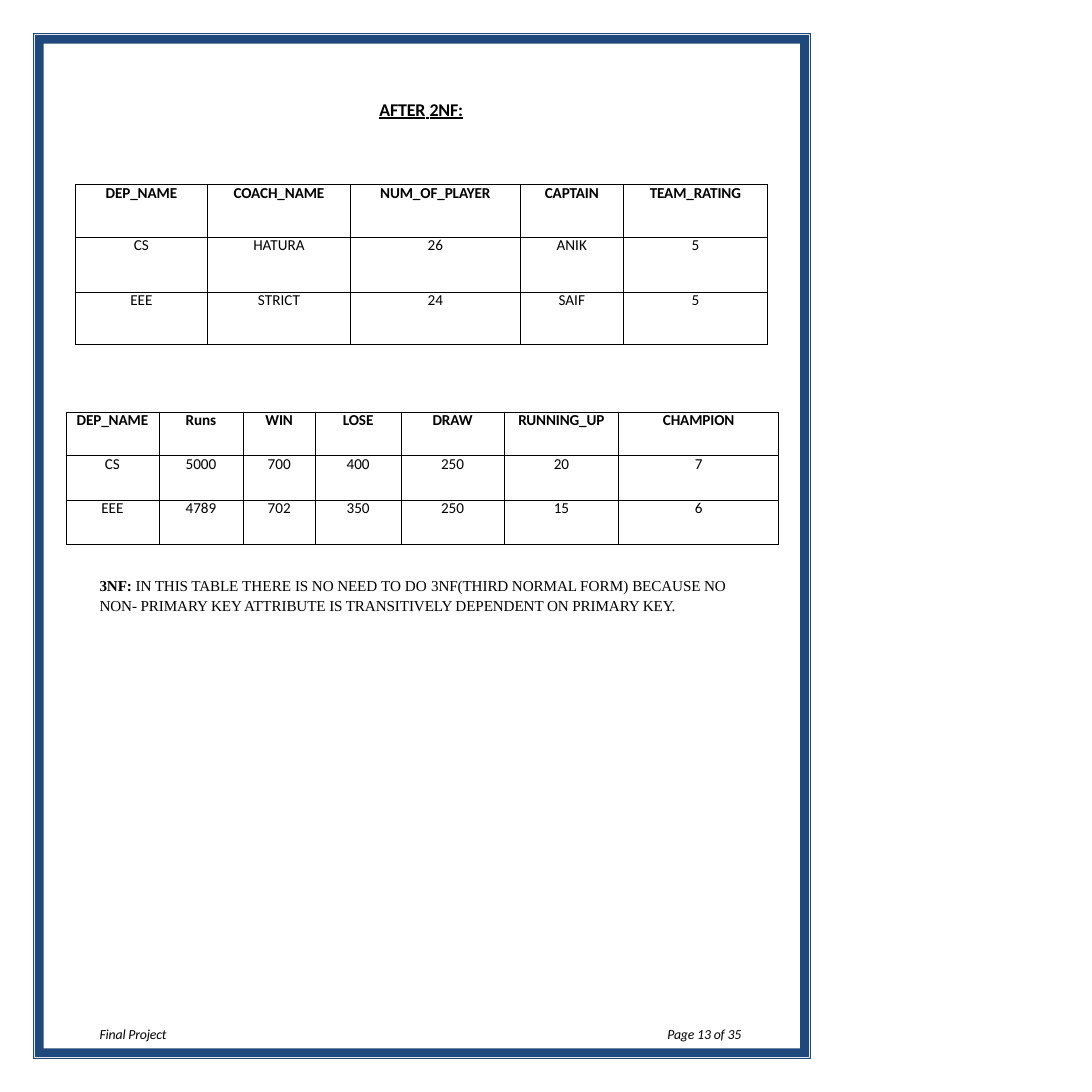
from lxml import etree
from pptx import Presentation
from pptx import util as u
from pptx.dml.color import RGBColor
from pptx.enum import text
from pptx.oxml.ns import qn

COLORS = {"ink": "000000", "frame": "1F487C"}


class Page:
    def __init__(self, s, font="Calibri", color="ink"):
        self.s = s
        self.font = font
        self.color = color

    def rgb(self, name):
        return RGBColor.from_string(COLORS[name])

    def run(self, p, content, spc=-0.1, **fmt):
        r = p.add_run()
        r.text = content
        for key, value in {"name": self.font, **fmt}.items():
            setattr(r.font, key, value)
        r.font.color.rgb = self.rgb(self.color)
        r.font._element.set("spc", str(round(spc * 100)))

    def text(self, box, runs, top=0, para=None, **fmt):
        sp = self.s.shapes.add_textbox(*map(u.Pt, box))
        tf = sp.text_frame
        frame = {"word_wrap": True, "margin_left": u.Pt(0.9), "margin_top": u.Pt(top),
                 "margin_right": 0, "margin_bottom": 0}
        for key, value in frame.items():
            setattr(tf, key, value)
        p = tf.paragraphs[0]
        for key, value in (para or {}).items():
            setattr(p, key, value)
        for content, own in runs:
            self.run(p, content, **{**fmt, **own})

    def border(self, cell, width=0.5):
        tcPr = cell._tc.get_or_add_tcPr()
        for side in ("lnL", "lnR", "lnT", "lnB"):
            ln = etree.SubElement(tcPr, qn(f"a:{side}"), w=str(u.Pt(width)))
            fill = etree.SubElement(ln, qn("a:solidFill"))
            etree.SubElement(fill, qn("a:srgbClr"), val=COLORS[self.color])

    def table(self, left, top, widths, heights, rows):
        box = (left, top, sum(widths), sum(heights))
        tbl = self.s.shapes.add_table(len(rows), len(widths), *map(u.Pt, box)).table
        tbl.first_row = tbl.horz_banding = False
        for col, width in zip(tbl.columns, widths):
            col.width = u.Pt(width)
        for i, (height, values) in enumerate(zip(heights, rows)):
            tbl.rows[i].height = u.Pt(height)
            for j, value in enumerate(values.split()):
                cell = tbl.cell(i, j)
                for side in ("left", "top", "right", "bottom"):
                    setattr(cell, f"margin_{side}", 0)
                self.border(cell)
                cell.fill.background()
                p = cell.text_frame.paragraphs[0]
                p.alignment = text.PP_ALIGN.CENTER
                p.line_spacing = u.Pt(12.9)
                self.run(p, value, -0.1 if i == 0 else 0, size=u.Pt(11), bold=i == 0)

    def frame(self, width, height, insets):
        rings = [[(d, d), (width - d, d), (width - d, height - d), (d, height - d)]
                 for d in insets]
        outer = [tuple(map(u.Pt, pt)) for pt in rings[0]]
        fb = self.s.shapes.build_freeform(*outer[0])
        fb.add_line_segments(outer[1:])
        for i, ring in enumerate(rings[1:], 1):
            if i % 2:
                ring = ring[::-1]
            pts = [tuple(map(u.Pt, pt)) for pt in ring]
            fb.move_to(*pts[0])
            fb.add_line_segments(pts[1:])
        sp = fb.convert_to_shape()
        sp.shadow.inherit = False
        sp.fill.solid()
        sp.fill.fore_color.rgb = self.rgb("frame")
        sp.line.fill.background()


def main():
    prs = Presentation()
    prs.slide_width = prs.slide_height = u.Pt(792)
    page = Page(prs.slides.add_slide(prs.slide_layouts[6]))

    page.text((274.3, 70.6, 65, 17.3),
              [("AFTER", {}), (" ", {"spc": -0.6}), ("2NF:", {})], top=0.7,
              para={"space_before": u.Pt(0.9)}, size=u.Pt(13), bold=True, underline=True)
    page.table(47.8, 298.8, [67.5, 61, 52.5, 62, 75, 83, 116], [31.7, 32.4, 31.7], [
        "DEP_NAME Runs WIN LOSE DRAW RUNNING_UP CHAMPION",
        "CS 5000 700 400 250 20 7",
        "EEE 4789 702 350 250 15 6",
    ])
    page.text((71.3, 416.2, 462.2, 31), [
        ("3NF: ", {"bold": True}),
        ("IN THIS TABLE ", {}),
        ("THERE ", {"spc": 0}),
        ("IS NO NEED ", {}),
        ("TO ", {"spc": 0}),
        ("DO ", {"spc": 0.1}),
        ("3NF(THIRD NORMAL ", {}),
        ("FORM) ", {"spc": 0}),
        ("BECAUSE NO NON- PRIMARY KEY ATTRIBUTE IS TRANSITIVELY "
         "DEPENDENT ON PRIMARY KEY.", {}),
    ], top=0.7, para={"line_spacing": 1.1, "space_before": u.Pt(1)},
        name="Times New Roman", size=u.Pt(11), bold=False)
    page.table(54.7, 133.9, [95.8, 103.7, 123.1, 74.9, 104.4], [38.2, 39.6, 38.2], [
        "DEP_NAME COACH_NAME NUM_OF_PLAYER CAPTAIN TEAM_RATING",
        "CS HATURA 26 ANIK 5",
        "EEE STRICT 24 SAIF 5",
    ])
    page.frame(612, 792, [24, 24.7, 25.4, 31.7])
    for left, content in ((71.3, "Final Project"), (483.1, "Page 13 of 35")):
        page.text((left, 745.2, 60, 12.2), [(content, {})],
                  para={"line_spacing": u.Pt(10.4)}, size=u.Pt(10), italic=True)

    prs.save("out.pptx")


if __name__ == "__main__":
    main()
